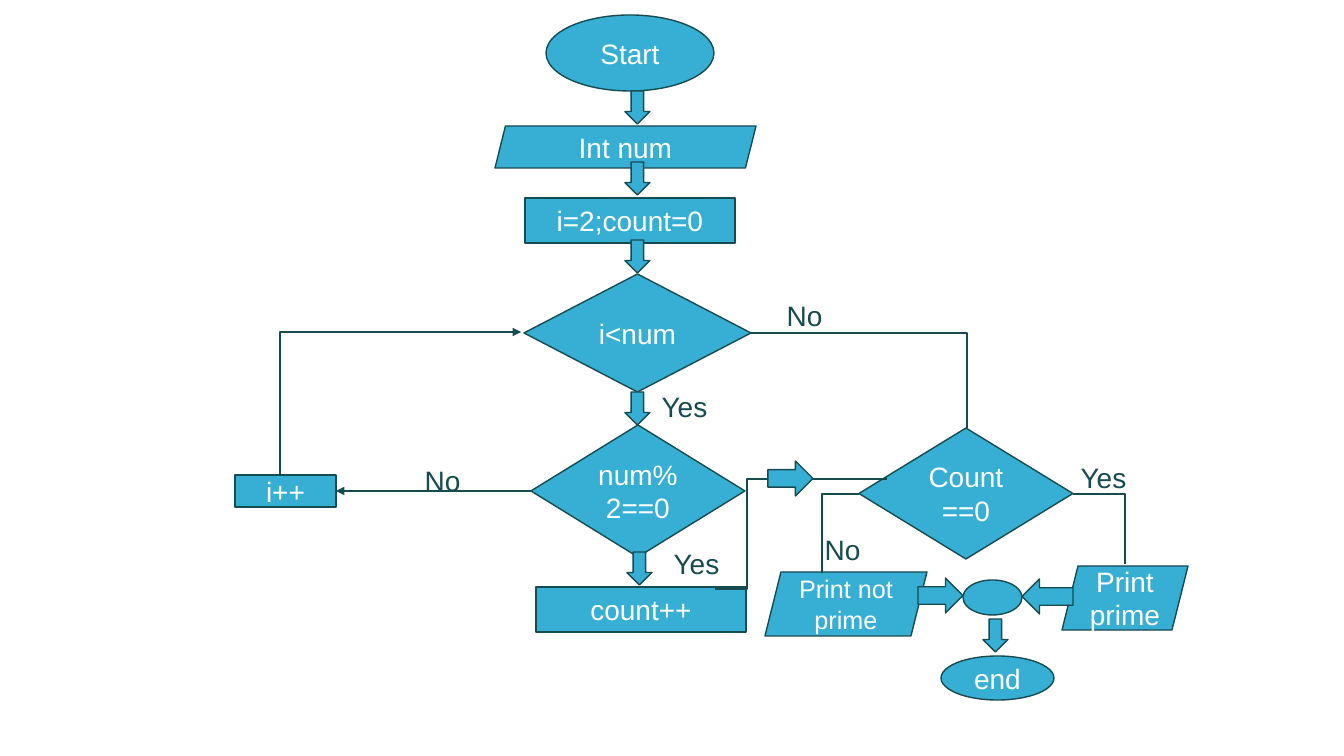
import pptx
import pptx.util
import pptx.dml.color
import pptx.enum.shapes
import pptx.enum.text
import pptx.oxml
import pptx.oxml.ns

SHAPE = pptx.enum.shapes.MSO_SHAPE
CONNECTOR = pptx.enum.shapes.MSO_CONNECTOR


def color(value):
    return pptx.dml.color.RGBColor.from_string(value)


def px(length):
    return pptx.util.Emu(round(length * 914400 / 100.8))


class Flowchart:
    """Style and current slide of the flowchart."""
    font = "Arial"
    fill = "37AFD5"
    dark = "164B4F"
    light = "FFFFFF"

    def __init__(self, deck):
        self.slide = deck.slides.add_slide(deck.slide_layouts[6])

    def set_text(self, box, lines, size, ink):
        frame = box.text_frame
        frame.word_wrap = True
        frame.vertical_anchor = pptx.enum.text.MSO_ANCHOR.MIDDLE
        frame.text = lines
        for para in frame.paragraphs:
            para.alignment = pptx.enum.text.PP_ALIGN.CENTER
            for span in para.runs:
                span.font.name = self.font
                span.font.size = pptx.util.Pt(size)
                span.font.color.rgb = color(ink)

    def node(self, kind, left, top, width, height, lines="", size=20):
        shape = self.slide.shapes.add_shape(
            kind, px(left), px(top), px(width), px(height))
        shape.shadow.inherit = False
        shape.fill.solid()
        shape.fill.fore_color.rgb = color(self.fill)
        shape.line.color.rgb = color(self.dark)
        shape.line.width = pptx.util.Pt(1)
        if lines:
            self.set_text(shape, lines, size, self.light)
        return shape

    def label(self, left, top, lines):
        box = self.slide.shapes.add_textbox(px(left), px(top), px(101), px(32))
        self.set_text(box, lines, 20, self.dark)

    def line(self, kind, start, end, width=1, arrow=False):
        link = self.slide.shapes.add_connector(
            kind, px(start[0]), px(start[1]), px(end[0]), px(end[1]))
        link.line.color.rgb = color(self.dark)
        link.line.width = pptx.util.Pt(width)
        properties = link._element.spPr
        if arrow:
            outline = properties.find(pptx.oxml.ns.qn("a:ln"))
            outline.append(pptx.oxml.parse_xml(
                '<a:tailEnd %s type="triangle"/>' % pptx.oxml.ns.nsdecls("a")))
        properties.append(pptx.oxml.parse_xml(
            "<a:effectLst %s/>" % pptx.oxml.ns.nsdecls("a")))
        return link

    def elbow(self, start, end, bend, width=1, arrow=False):
        """Bend is the percentage of the width where the line turns."""
        link = self.line(CONNECTOR.ELBOW, start, end, width, arrow)
        geometry = link._element.spPr.find(pptx.oxml.ns.qn("a:prstGeom"))
        guides = geometry.get_or_add_avLst()
        guides.append(pptx.oxml.parse_xml(
            '<a:gd %s name="adj1" fmla="val %d"/>'
            % (pptx.oxml.ns.nsdecls("a"), bend * 1000)))


def main():
    deck = pptx.Presentation()
    deck.slide_width, deck.slide_height = px(1344), px(756)
    chart = Flowchart(deck)

    # Main column and loop
    chart.node(SHAPE.OVAL, 546, 15, 168, 76, "Start")
    chart.node(SHAPE.PARALLELOGRAM, 495, 126, 261, 42, "Int num")
    chart.node(SHAPE.RECTANGLE, 525, 198, 210, 45, "i=2;count=0")
    chart.node(SHAPE.FLOWCHART_DECISION, 524, 274, 227, 118, "i<num")
    divides = chart.node(SHAPE.FLOWCHART_DECISION, 531, 425, 214, 132, "num%2==0")
    chart.node(SHAPE.RECTANGLE, 536, 587, 210, 45, "count++")
    increment = chart.node(SHAPE.RECTANGLE, 235, 475, 101, 32, "i++")

    # Result branch
    chart.node(SHAPE.FLOWCHART_DECISION, 859, 428, 214, 131, "Count==0")
    chart.node(SHAPE.PARALLELOGRAM, 1062, 566, 126, 64, "Print\nprime")
    chart.node(SHAPE.PARALLELOGRAM, 765, 572, 162, 64, "Print not\nprime", 18)
    chart.node(SHAPE.OVAL, 963, 580, 59, 35)
    chart.node(SHAPE.OVAL, 941, 656, 113, 44, "end")

    # Thin lines
    back = chart.line(CONNECTOR.STRAIGHT, (531, 491), (336, 491), arrow=True)
    back.begin_connect(divides, 1)
    back.end_connect(increment, 3)
    chart.elbow((280, 475), (521, 332), 0, 1.5, True)
    chart.elbow((751, 333), (967, 428), 100)
    chart.elbow((1073, 494), (1125, 564), 100)
    chart.elbow((859, 494), (822, 573), 100)
    chart.elbow((715, 589), (887, 479), 18.7)

    # Block arrows
    for left, top in ((625, 91), (625, 162), (625, 240), (625, 392),
                      (627, 552), (983, 619)):
        chart.node(SHAPE.DOWN_ARROW, left, top, 25, 33)
    for left, top in ((768, 461), (918, 578)):
        chart.node(SHAPE.RIGHT_ARROW, left, top, 45, 35)
    chart.node(SHAPE.LEFT_ARROW, 1022, 579, 51, 35)

    # Branch labels
    for left, top, answer in ((754, 299, "No"), (634, 390, "Yes"),
                              (392, 464, "No"), (646, 547, "Yes"),
                              (1053, 461, "Yes"), (792, 533, "No")):
        chart.label(left, top, answer)

    deck.save("out.pptx")


if __name__ == "__main__":
    main()
